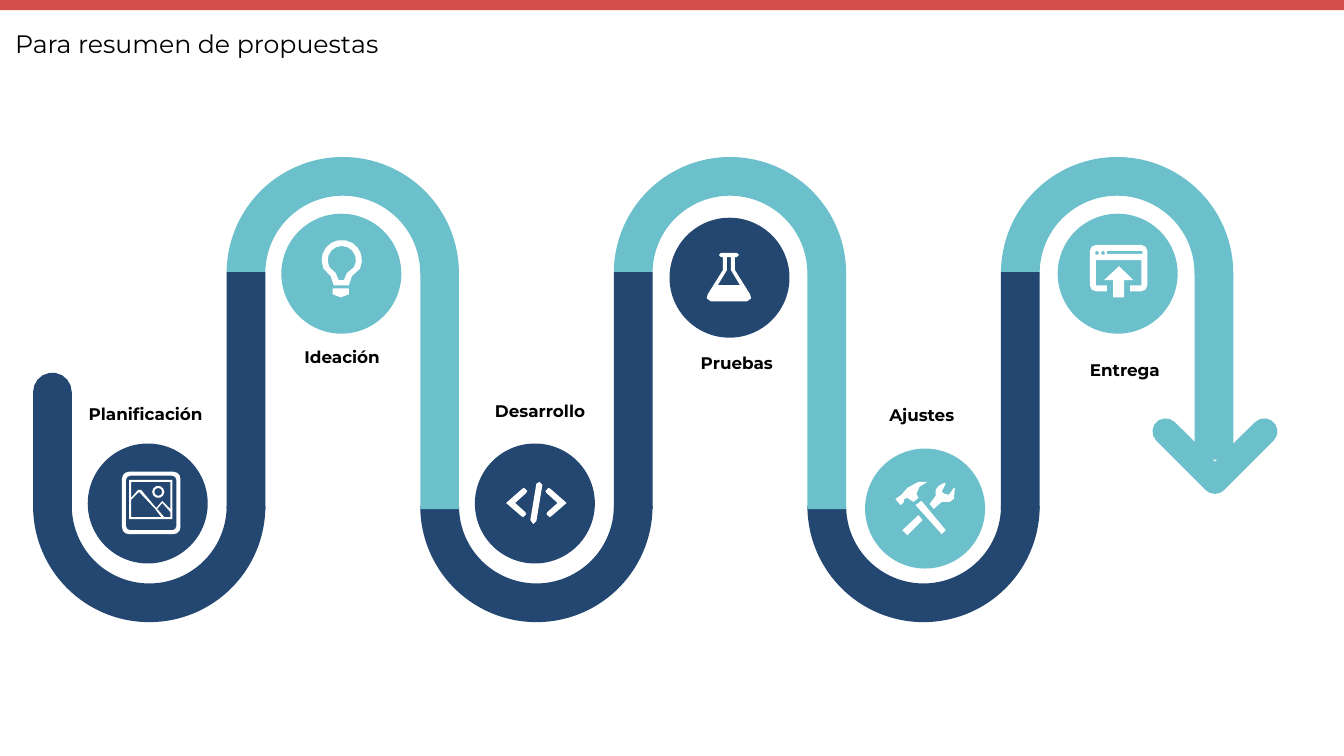
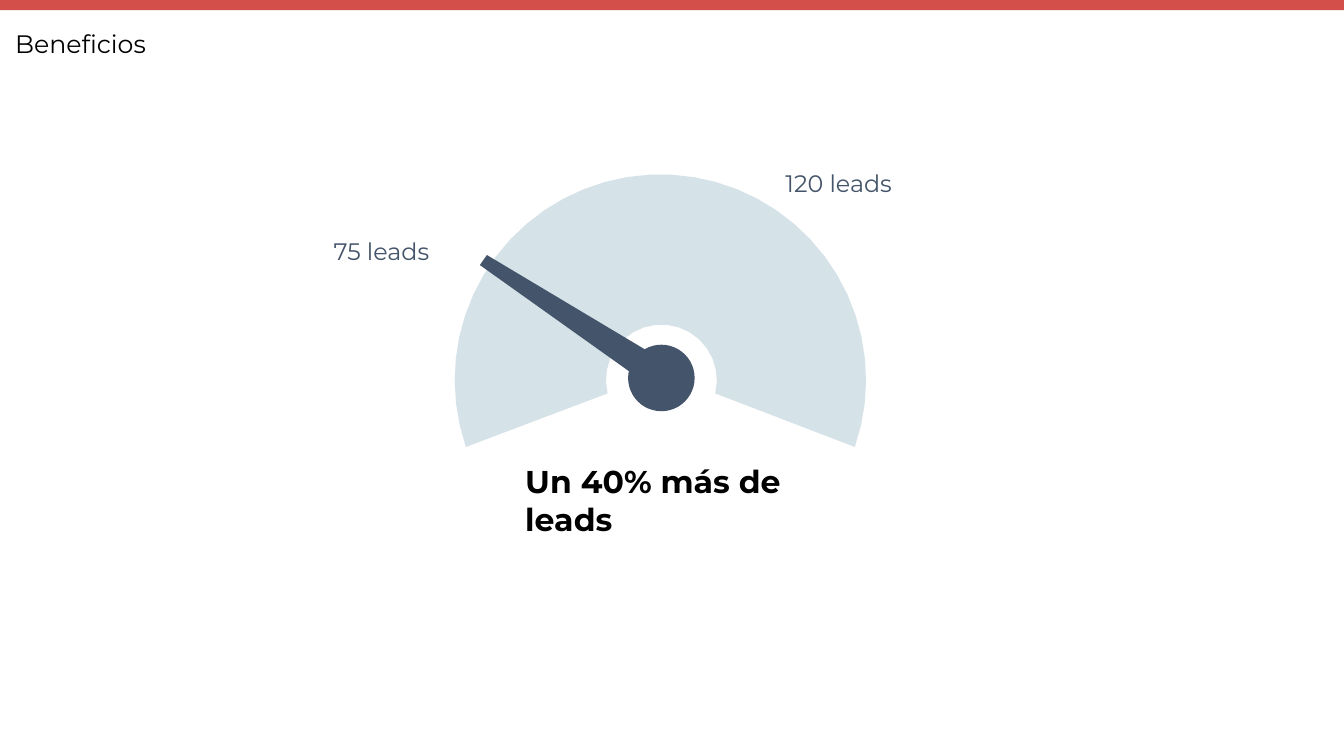
"""Build a process roadmap slide and a benefits gauge slide."""
from math import cos, radians, sin

from pptx import Presentation
from pptx.dml.color import RGBColor
from pptx.enum.shapes import MSO_SHAPE
from pptx.enum.text import MSO_ANCHOR, MSO_AUTO_SIZE, PP_ALIGN
from pptx.util import Inches, Pt

COLORS = {
    "red": "D34F49", "navy": "234770", "teal": "6CC0CC", "white": "FFFFFF",
    "black": "000000", "slate": "44546A", "pale": "D5E2E7",
}
FONT = "Montserrat"


def paint(sp, color):
    sp.shadow.inherit = False
    sp.fill.solid()
    sp.fill.fore_color.rgb = RGBColor.from_string(COLORS[color])
    sp.line.fill.background()


def trace(s, contours, color):
    """Fill contours made of (x, y) points and (cx, cy, radius, start, end) arcs."""
    builder = None
    for contour in contours:
        points = []
        for step in contour:
            if len(step) == 2:
                points.append((Inches(step[0]), Inches(step[1])))
                continue
            cx, cy, radius, start, end = step
            count = max(2, round(abs(end - start) * radius ** 0.5 / 9))
            for k in range(count + 1):
                angle = radians(start + (end - start) * k / count)
                points.append((Inches(cx + radius * cos(angle)), Inches(cy + radius * sin(angle))))
        if builder is None:
            builder = s.shapes.build_freeform(*points[0], scale=1.0)
        else:
            builder.move_to(*points[0])
        builder.add_line_segments(points[1:], close=True)
    paint(builder.convert_to_shape(), color)


prs = Presentation()
prs.slide_width, prs.slide_height = Inches(13.33), Inches(7.5)
layout = prs.slide_layouts[5]
slides = []
for title in ("Para resumen de propuestas", "Beneficios"):
    s = prs.slides.add_slide(layout)
    sp = s.shapes.title
    sp.left, sp.top, sp.width, sp.height = [Inches(v) for v in (0.11, 0.12, 8.47, 0.65)]
    tf = sp.text_frame
    tf.text = title
    tf.auto_size = MSO_AUTO_SIZE.NONE
    tf.vertical_anchor = MSO_ANCHOR.MIDDLE
    tf.margin_left = tf.margin_right = tf.margin_top = tf.margin_bottom = Inches(0.04)
    p = tf.paragraphs[0]
    p.alignment = PP_ALIGN.LEFT
    p.line_spacing = 0.9
    p.font.name, p.font.size = FONT, Pt(18)
    p.font.color.rgb = RGBColor.from_string(COLORS["black"])
    slides.append(s)
roadmap, benefits = slides

band = roadmap.shapes.add_shape(
    MSO_SHAPE.RECTANGLE, Inches(-0.49), 0, Inches(13.99), Inches(0.1))
paint(band, "red")
prs.slide_master.shapes.element.insert(2, band.element)

pitch, first, upper, lower = 1.92, 1.48, 2.71, 5.02
outer, inner = pitch * 0.6, pitch * 0.4
ribbon = outer - inner
centers = [first + pitch * i for i in range(6)]
for i, cx in enumerate(centers):
    cy, turn, color = (upper, 0, "teal") if i % 2 else (lower, 180, "navy")
    bend = roadmap.shapes.add_shape(MSO_SHAPE.BLOCK_ARC, Inches(cx - outer), Inches(cy - outer),
                                    Inches(2 * outer), Inches(2 * outer))
    bend.adjustments[2] = ribbon / (2 * outer)
    bend.rotation = turn
    paint(bend, color)
for i, cx in enumerate(centers):
    height = 2.35 if i < 5 else 1.86
    sp = roadmap.shapes.add_shape(MSO_SHAPE.RECTANGLE, Inches(cx + inner), Inches(2.7),
                                  Inches(ribbon), Inches(height))
    paint(sp, "teal" if i % 2 else "navy")

left = first - outer
trace(roadmap, [[(left + ribbon / 2, 3.89, ribbon / 2, 180, 360),
                 (left + ribbon, lower), (left, lower)]], "navy")
trace(roadmap, [[(12.54, 4.28, 0.13, 225, 405), (12.05, 4.77, 0.13, 45, 135),
                 (11.56, 4.28, 0.13, 135, 315), (12.05, 4.58)]], "teal")

stages = [
    ("Planificación", 0.87, 4.4, "navy", 0.88, 4.01, 0.51),
    ("Ideación", 2.79, 2.12, "teal", 3.02, 3.44, 1.01),
    ("Desarrollo", 4.71, 4.4, "navy", 4.91, 3.98, 0.93),
    ("Pruebas", 6.64, 2.16, "navy", 6.95, 3.5, 0.76),
    ("Ajustes", 8.58, 4.45, "teal", 8.82, 4.02, 0.76),
    ("Entrega", 10.49, 2.12, "teal", 10.81, 3.57, 0.25),
]
labels = []
for name, x, y, color, label_x, label_y, label_h in stages:
    sp = roadmap.shapes.add_shape(MSO_SHAPE.OVAL, Inches(x), Inches(y), Inches(1.19), Inches(1.19))
    paint(sp, color)
    labels.append((roadmap, name, (label_x, label_y, 1.54, label_h), 12, True, "black"))

photo = [
    [(l + c, t + c, c, 180, 270), (r - c, t + c, c, 270, 360),
     (r - c, b - c, c, 0, 90), (l + c, b - c, c, 90, 180)]
    for l, t, r, b, c in ((1.21, 4.68, 1.79, 5.3, 0.07), (1.25, 4.72, 1.75, 5.26, 0.04))
] + [
    [(1.28, 4.76), (1.71, 4.76), (1.71, 5.15), (1.28, 5.15)],
    [(1.3, 4.78), (1.69, 4.78), (1.69, 5.05), (1.61, 4.97),
     (1.55, 5.04), (1.4, 4.86), (1.37, 4.86), (1.3, 4.94)],
    [(1.57, 4.88, 0.06, 0, 360)],
    [(1.57, 4.88, 0.04, 0, 360)],
    [(1.38, 4.88), (1.54, 5.05), (1.6, 5.13), (1.3, 5.13), (1.3, 4.96)],
    [(1.61, 4.99), (1.69, 5.08), (1.69, 5.13), (1.63, 5.13), (1.56, 5.05)],
]
bulb = [
    [(3.3, 2.86), (3.46, 2.86), (3.46, 2.92), (3.38, 2.95), (3.3, 2.92)],
    [(3.39, 2.58, 0.2, 155, 385), (3.49, 2.74), (3.46, 2.83), (3.31, 2.83), (3.28, 2.74)],
    [(3.39, 2.58, 0.14, 150, 390), (3.44, 2.71), (3.41, 2.78), (3.36, 2.78), (3.33, 2.71)],
]
bracket = [(5.02, 4.99), (5.18, 4.85), (5.2, 4.84), (5.23, 4.87), (5.22, 4.89),
           (5.11, 4.99), (5.21, 5.08), (5.22, 5.1), (5.19, 5.13), (5.17, 5.12)]
code = [
    bracket,
    [(10.64 - x, y) for x, y in bracket],
    [(5.32, 4.8), (5.35, 4.78), (5.38, 4.81), (5.32, 5.17), (5.29, 5.2), (5.26, 5.16)],
]
flask = [
    half + [(14.46 - x, y) for x, y in reversed(half)]
    for half in (
        [(7.31, 2.51), (7.33, 2.53), (7.31, 2.55), (7.29, 2.55), (7.29, 2.68),
         (7.44, 2.92), (7.45, 2.96), (7.41, 2.99)],
        [(7.25, 2.55), (7.25, 2.68), (7.34, 2.83)],
    )
]
tools = [
    [(8.97, 4.95), (9, 4.94), (9.06, 4.98), (9.11, 4.94), (9.09, 4.9), (9.12, 4.83),
     (9.2, 4.78), (9.11, 4.78), (9, 4.84), (8.94, 4.91), (8.88, 4.95), (8.93, 5.01),
     (8.96, 4.99)],
    [(9.14, 4.97), (9.08, 5.01), (9.34, 5.3), (9.38, 5.26)],
    [(9.47, 4.85), (9.46, 4.84), (9.41, 4.91), (9.37, 4.9), (9.34, 4.88), (9.38, 4.8),
     (9.37, 4.79), (9.31, 4.82), (9.28, 4.86), (9.28, 4.92), (9.22, 5), (9.26, 5.05),
     (9.34, 4.98), (9.42, 4.98), (9.46, 4.95)],
    [(8.95, 5.26), (9, 5.31), (9.15, 5.16), (9.11, 5.11)],
]
upload = [
    [(11.1, 2.64), (10.95, 2.78), (11.04, 2.78), (11.04, 2.95),
     (11.15, 2.95), (11.15, 2.78), (11.24, 2.78)],
    [(10.87, 2.49, 0.06, 180, 270), (11.32, 2.49, 0.06, 270, 360),
     (11.32, 2.83, 0.06, 0, 90), (11.21, 2.89), (11.21, 2.83), (11.32, 2.83),
     (11.32, 2.58), (10.87, 2.58), (10.87, 2.83), (10.98, 2.83), (10.98, 2.89),
     (10.87, 2.83, 0.06, 90, 180)],
    [(10.88, 2.51, 0.02, 0, 360)],
    [(10.94, 2.51, 0.02, 0, 360)],
    [(10.98, 2.49), (11.33, 2.49), (11.33, 2.52), (10.98, 2.52)],
]
for icon in (photo, bulb, code, flask, tools, upload):
    trace(roadmap, icon, "white")

trace(benefits, [[(6.55, 3.77, 2.04, 161, 379), (6.56, 3.77, 0.55, 374, 166)]], "pale")
hub = benefits.shapes.add_shape(
    MSO_SHAPE.OVAL, Inches(6.23), Inches(3.42), Inches(0.66), Inches(0.66))
paint(hub, "slate")
trace(benefits, [[(4.83, 2.53), (6.62, 3.6), (6.46, 3.84), (4.76, 2.63)]], "slate")

labels += [
    (benefits, "Un 40% más de leads", (5.21, 4.58, 2.84, 0.76), 22.5, True, "black"),
    (benefits, "120 leads", (7.79, 1.67, 1.76, 0.29), 17, False, "slate"),
    (benefits, "75 leads", (3.31, 2.34, 1.76, 0.29), 17, False, "slate"),
]
for s, text, box, size, bold, color in labels:
    tf = s.shapes.add_textbox(*[Inches(v) for v in box]).text_frame
    tf.word_wrap = True
    tf.margin_left = tf.margin_right = tf.margin_top = tf.margin_bottom = 0
    if s is benefits:
        tf.vertical_anchor = MSO_ANCHOR.MIDDLE
        tf.auto_size = MSO_AUTO_SIZE.SHAPE_TO_FIT_TEXT
    p = tf.paragraphs[0]
    p.text = text
    p.font.name, p.font.size, p.font.bold = FONT, Pt(size), bold
    p.font.color.rgb = RGBColor.from_string(COLORS[color])

prs.save("out.pptx")
